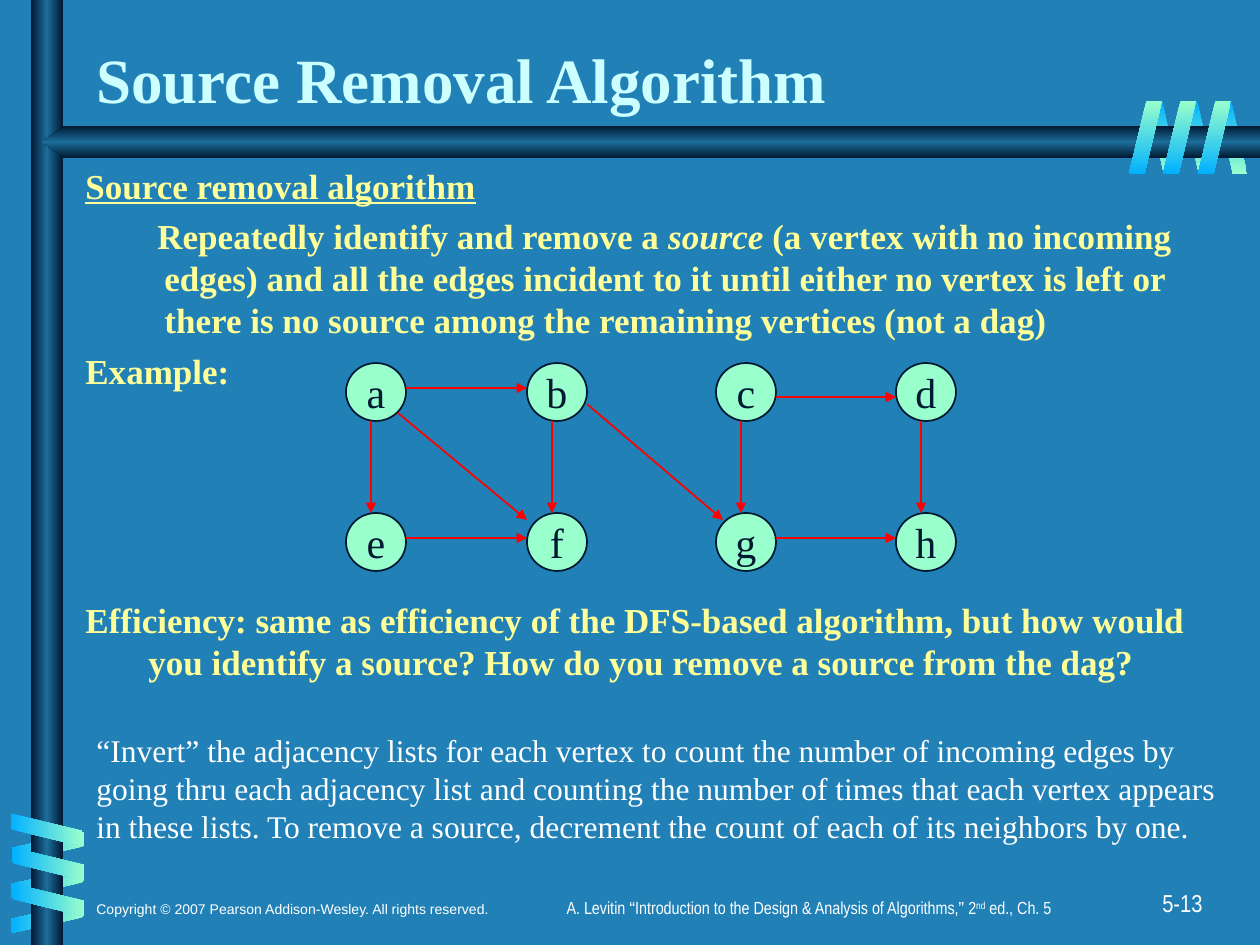
from dataclasses import dataclass, field
from typing import Optional

import pptx
import pptx.dml.color
import pptx.enum.shapes
import pptx.enum.text
import pptx.oxml
import pptx.oxml.ns
import pptx.util

PX_PER_INCH = 126
COLORS = {
    "background": "2181B7", "navy": "001932", "steel": "1C6D9A",
    "blue": "01B0FF", "mint": "99FFCC", "red": "FF0000",
    "title": "CCFFFF", "body": "FFFF99", "white": "FFFFFF",
}
SERIF, SANS, NARROW = "Times New Roman", "Arial", "Arial Narrow"
SHAPES = pptx.enum.shapes.MSO_SHAPE
ANCHOR = pptx.enum.text.MSO_ANCHOR
ALIGN = pptx.enum.text.PP_ALIGN
BAR = ["navy", "steel", "navy"]
VERTEX_W, VERTEX_H, EDGE_OFFSET = 60, 58, 25
COLUMNS, ROWS = [346, 527, 716, 896], [363, 513]


@dataclass
class Run:
    text: str
    font: Optional[str] = None
    italic: bool = False
    underline: bool = False
    baseline: int = 0


@dataclass
class Paragraph:
    runs: list[Run]
    margin: int = 0
    indent: int = 0
    before: float = 0


@dataclass
class TextBlock:
    box: tuple[int, int, int, int]
    paragraphs: list[Paragraph]
    size: int
    color: str
    font: str = SERIF
    bold: bool = False
    align: ALIGN = ALIGN.LEFT
    anchor: ANCHOR = ANCHOR.TOP


@dataclass
class Coil:
    corners: list[tuple[int, int]]
    size: tuple[int, int]
    colors: list[str]
    gradient_angle: int
    rotation: int = 0
    flipped: bool = False


@dataclass
class Edge:
    start: tuple[int, int]
    end: tuple[int, int]


@dataclass
class Vertex:
    label: str
    left: int
    top: int
    edges: list[Edge] = field(default_factory=list)


def px(length: int) -> int:
    return round(length * 914400 / PX_PER_INCH)


def rgb(name: str) -> pptx.dml.color.RGBColor:
    return pptx.dml.color.RGBColor.from_string(COLORS[name])


def paint_gradient(shape, colors: list[str], angle: int) -> None:
    shape.shadow.inherit = False
    shape.line.fill.background()
    shape.fill.gradient()
    gradient = shape.element.spPr.find(pptx.oxml.ns.qn("a:gradFill"))
    last = len(colors) - 1
    stops = "".join(
        f'<a:gs pos="{100000 * i // last}"><a:srgbClr val="{COLORS[name]}"/></a:gs>'
        for i, name in enumerate(colors)
    )
    replacement = pptx.oxml.parse_xml(
        f'<a:gradFill {pptx.oxml.ns.nsdecls("a")} rotWithShape="0"><a:gsLst>{stops}</a:gsLst>'
        f'<a:lin ang="{angle * 60000}" scaled="0"/></a:gradFill>'
    )
    gradient.getparent().replace(gradient, replacement)


def draw_coil(slide, coil: Coil) -> None:
    for left, top in coil.corners:
        strip = slide.shapes.add_shape(
            SHAPES.PARALLELOGRAM, px(left), px(top), *map(px, coil.size))
        strip.adjustments[0] = 0.53
        strip.rotation = coil.rotation
        if coil.flipped:
            strip.element.spPr.xfrm.set("flipH", "1")
        paint_gradient(strip, coil.colors, coil.gradient_angle)


def draw_bars(slide) -> None:
    upright = slide.shapes.add_shape(SHAPES.RECTANGLE, px(31), 0, px(32), px(945))
    paint_gradient(upright, BAR, 0)
    outline = slide.shapes.build_freeform(px(1260), px(126))
    corners = [(63, 126), (42, 142), (63, 158), (1260, 158)]
    outline.add_line_segments([(px(x), px(y)) for x, y in corners], close=True)
    paint_gradient(outline.convert_to_shape(), BAR, 90)


def draw_text(slide, block: TextBlock) -> None:
    frame = slide.shapes.add_textbox(*map(px, block.box)).text_frame
    frame.word_wrap = True
    frame.vertical_anchor = block.anchor
    for i, content in enumerate(block.paragraphs):
        paragraph = frame.add_paragraph() if i else frame.paragraphs[0]
        paragraph.alignment = block.align
        paragraph.space_before = pptx.util.Pt(content.before)
        properties = paragraph._p.get_or_add_pPr()
        properties.set("marL", str(px(content.margin)))
        properties.set("indent", str(px(content.indent)))
        for piece in content.runs:
            run = paragraph.add_run()
            run.text = piece.text
            run.font.name = piece.font or block.font
            run.font.size = pptx.util.Pt(block.size)
            run.font.bold = block.bold
            run.font.italic = piece.italic
            run.font.underline = piece.underline
            run.font.color.rgb = rgb(block.color)
            if piece.baseline:
                run.font._element.set("baseline", str(piece.baseline * 1000))


def draw_vertex(slide, vertex: Vertex) -> None:
    circle = slide.shapes.add_shape(
        SHAPES.OVAL, px(vertex.left), px(vertex.top), px(VERTEX_W), px(VERTEX_H))
    circle.shadow.inherit = False
    circle.fill.solid()
    circle.fill.fore_color.rgb = rgb("mint")
    circle.line.color.rgb = rgb("navy")
    circle.line.width = pptx.util.Pt(1)
    frame = circle.text_frame
    frame.word_wrap = False
    frame.vertical_anchor = ANCHOR.MIDDLE
    frame.text = vertex.label
    label = frame.paragraphs[0]
    label.alignment = ALIGN.CENTER
    label.font.name = SERIF
    label.font.size = pptx.util.Pt(24)
    label.font.color.rgb = rgb("navy")


def draw_edge(slide, edge: Edge) -> None:
    arrow = slide.shapes.add_connector(
        pptx.enum.shapes.MSO_CONNECTOR.STRAIGHT, *map(px, edge.start + edge.end))
    arrow.line.color.rgb = rgb("red")
    arrow.line.width = pptx.util.Pt(1)
    namespace = pptx.oxml.ns.nsdecls("a")
    arrow.line._get_or_add_ln().append(
        pptx.oxml.parse_xml(f'<a:tailEnd {namespace} type="triangle"/>'))
    arrow._element.spPr.append(pptx.oxml.parse_xml(f"<a:effectLst {namespace}/>"))


def draw_graph(slide) -> None:
    for top, labels in zip(ROWS, ["abcd", "efgh"]):
        for left, label in zip(COLUMNS, labels):
            draw_vertex(slide, Vertex(label, left, top))
    edges = [Edge((x + EDGE_OFFSET, ROWS[0] + VERTEX_H), (x + EDGE_OFFSET, ROWS[1]))
             for x in COLUMNS]
    for source, row, offset in [(0, 0, 25), (0, 1, 25), (2, 0, 34), (2, 1, 25)]:
        y = ROWS[row] + offset
        edges.append(Edge((COLUMNS[source] + VERTEX_W, y), (COLUMNS[source + 1], y)))
    edges += [Edge((398, 413), (527, 520)), Edge((587, 404), (723, 520))]
    for edge in edges:
        draw_edge(slide, edge)


COILS_BEHIND = [
    Coil([(1217, 101), (1183, 101), (1148, 101)], (30, 73), ["blue", "mint"], 90, 180, True),
    Coil([(33, 811), (32, 847), (32, 882)], (30, 72), ["mint", "blue"], 0, 90, True),
]
COILS_IN_FRONT = [
    Coil([(30, 794), (32, 828), (32, 864)], (33, 72), ["blue", "mint"], 0, 270),
    Coil([(1198, 101), (1163, 101), (1129, 101)], (33, 73), ["mint", "blue"], 90),
]
TEXTS = [
    TextBlock((953, 882, 262, 42), [Paragraph([Run("5-13")])], 14, "white", NARROW,
              align=ALIGN.RIGHT),
    TextBlock((84, 851, 536, 73), [Paragraph([Run(
        "Copyright © 2007 Pearson Addison-Wesley. All rights reserved.")])],
        8, "white", SANS, anchor=ANCHOR.BOTTOM),
    TextBlock((368, 891, 882, 42), [Paragraph([
        Run("A. Levitin "), Run("“", SANS),
        Run("Introduction to the Design & Analysis of Algorithms,"), Run("”", SANS),
        Run(" 2"), Run("nd", baseline=30), Run(" ed., Ch. 5")])],
        10, "white", NARROW, align=ALIGN.CENTER),
    TextBlock((84, 28, 1155, 94), [Paragraph([Run("Source Removal Algorithm")])],
              36, "title", bold=True, anchor=ANCHOR.BOTTOM),
    TextBlock((73, 158, 1187, 756), [
        Paragraph([Run("Source removal algorithm", underline=True)], 63, -63),
        Paragraph([
            Run("Repeatedly identify and remove a "), Run("source", italic=True),
            Run(" (a vertex with no incoming edges) and all the edges incident to it until "
                "either no vertex is left or there is no source among the remaining "
                "vertices (not a dag)")], 79, -7, 5),
        Paragraph([Run("Example:")], 63, -63, 5),
        Paragraph([Run(
            "Efficiency: same as efficiency of the DFS-based algorithm, but how would you "
            "identify a source? How do you remove a source from the dag?")], 63, -63, 118),
    ], 20, "body", bold=True),
    TextBlock((84, 725, 1176, 126), [Paragraph([Run(
        "“Invert” the adjacency lists for each vertex to count the number of incoming edges "
        "by going thru each adjacency list and counting the number of times that each vertex "
        "appears in these lists. To remove a source, decrement the count of each of its "
        "neighbors by one.")])], 18, "white"),
]


def main() -> None:
    deck = pptx.Presentation()
    deck.slide_width, deck.slide_height = px(1260), px(945)
    slide = deck.slides.add_slide(deck.slide_layouts[6])
    slide.background.fill.solid()
    slide.background.fill.fore_color.rgb = rgb("background")
    for coil in COILS_BEHIND:
        draw_coil(slide, coil)
    draw_bars(slide)
    for coil in COILS_IN_FRONT:
        draw_coil(slide, coil)
    for block in TEXTS:
        draw_text(slide, block)
    draw_graph(slide)
    deck.save("out.pptx")


if __name__ == "__main__":
    main()
